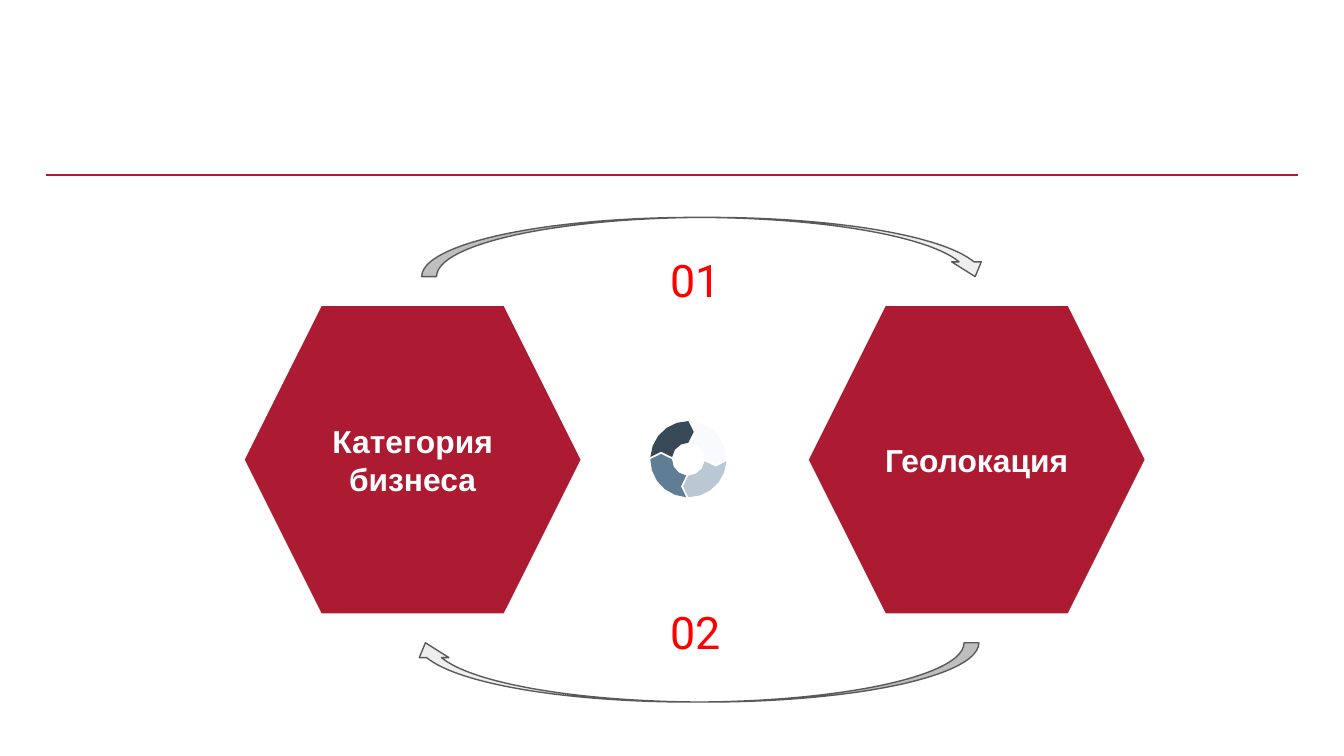
import math

import pptx
import pptx.dml.color
import pptx.enum.shapes
import pptx.enum.text
import pptx.oxml
import pptx.oxml.ns
import pptx.util

Cm = pptx.util.Cm
Pt = pptx.util.Pt
SHAPE = pptx.enum.shapes.MSO_SHAPE
ANCHOR = pptx.enum.text.MSO_ANCHOR

HEXAGONS = [("Категория бизнеса", 4.61), ("Геолокация", 15.27)]
HEXAGON_TOP, HEXAGON_SIZE = 5.77, (6.38, 5.84)
ARROWS = [(7.97, 4.11, 0), (7.76, 12.15, 180)]
ARROW_SIZE = (10.74, 1.12)
NUMBERS = [("01", 4.37), ("02", 11.02)]
NUMBER_LEFT, NUMBER_SIZE = 11.5, (3.28, 1.68)
RULE = (0.86, 24.54, 3.31)
RING_CENTRE = (13.01, 8.68)
RING_INNER, RING_OUTER = 0.31, 0.72
RING_GAP, RING_TIP = 0.04, 0.1

THEME = {
    "accent": "AC1B31",
    "white": "FFFFFF",
    "number": "FF0000",
    "arrow": "EEEEEE",
    "outline": "595959",
    "ring": ["F8FAFB", "BAC8D3", "5F7D95", "374957"],
    "label_size": 17,
    "number_size": 24,
    "label_font": "Arial",
    "number_font": "Roboto",
    "line_width": 0.75,
}


def rgb(value):
    return pptx.dml.color.RGBColor.from_string(value)


def style(s, fill, line=None):
    s.shadow.inherit = False
    s.fill.solid()
    s.fill.fore_color.rgb = rgb(fill)
    if line:
        s.line.color.rgb = rgb(line)
        s.line.width = Pt(THEME["line_width"])
    else:
        s.line.fill.background()


def write(s, text, *, font, size, color, bold=False, anchor=ANCHOR.MIDDLE):
    tf = s.text_frame
    tf.word_wrap = True
    tf.vertical_anchor = anchor
    tf.margin_left = tf.margin_right = tf.margin_top = tf.margin_bottom = Cm(0.25)
    p = tf.paragraphs[0]
    p.alignment = pptx.enum.text.PP_ALIGN.CENTER
    r = p.add_run()
    r.text = text
    r.font.name = font
    r.font.size = Pt(size)
    r.font.bold = bold
    r.font.color.rgb = rgb(color)


def arc(radius, start, end, steps):
    angles = [start + (end - start) * i / steps for i in range(steps + 1)]
    return [(radius * math.cos(a), radius * math.sin(a)) for a in angles]


def ring_segment():
    middle = (RING_INNER + RING_OUTER) / 2
    inner = arc(RING_INNER, math.asin(RING_GAP / RING_INNER) - math.pi / 2, 0, 3)
    outer = arc(RING_OUTER, 0, math.asin(RING_GAP / RING_OUTER) - math.pi / 2, 5)
    return [(RING_GAP + RING_TIP, -middle), *inner, (middle, RING_TIP), *outer]


def add_ring(shapes):
    ring = shapes.add_group_shape()
    points = ring_segment()
    cx, cy = RING_CENTRE
    for color in THEME["ring"]:
        outline = [(Cm(cx + x), Cm(cy + y)) for x, y in points]
        builder = ring.shapes.build_freeform(*outline[0])
        builder.add_line_segments(outline[1:], close=True)
        style(builder.convert_to_shape(), color)
        points = [(-y, x) for x, y in points]


def add_rule(shapes):
    left, right, y = RULE
    s = shapes.add_connector(
        pptx.enum.shapes.MSO_CONNECTOR.STRAIGHT, Cm(left), Cm(y), Cm(right), Cm(y)
    )
    s.line.color.rgb = rgb(THEME["accent"])
    s.line.width = Pt(THEME["line_width"])
    properties = s.element.find(pptx.oxml.ns.qn("p:spPr"))
    namespace = pptx.oxml.ns.nsdecls("a")
    properties.append(pptx.oxml.parse_xml(f"<a:effectLst {namespace}/>"))


def main():
    prs = pptx.Presentation()
    prs.slide_width, prs.slide_height = Cm(25.4), Cm(14.29)
    shapes = prs.slides.add_slide(prs.slide_layouts[6]).shapes
    add_rule(shapes)

    for left, top, rotation in ARROWS:
        s = shapes.add_shape(
            SHAPE.CURVED_DOWN_ARROW, Cm(left), Cm(top), *map(Cm, ARROW_SIZE)
        )
        s.rotation = rotation
        style(s, THEME["arrow"], THEME["outline"])

    add_ring(shapes)

    for text, top in NUMBERS:
        s = shapes.add_textbox(Cm(NUMBER_LEFT), Cm(top), *map(Cm, NUMBER_SIZE))
        write(s, text, font=THEME["number_font"], size=THEME["number_size"],
              color=THEME["number"], anchor=ANCHOR.BOTTOM)

    for text, left in HEXAGONS:
        s = shapes.add_shape(
            SHAPE.HEXAGON, Cm(left), Cm(HEXAGON_TOP), *map(Cm, HEXAGON_SIZE)
        )
        style(s, THEME["accent"], THEME["white"])
        write(s, text, font=THEME["label_font"], size=THEME["label_size"],
              color=THEME["white"], bold=True)

    prs.save("out.pptx")


if __name__ == "__main__":
    main()
